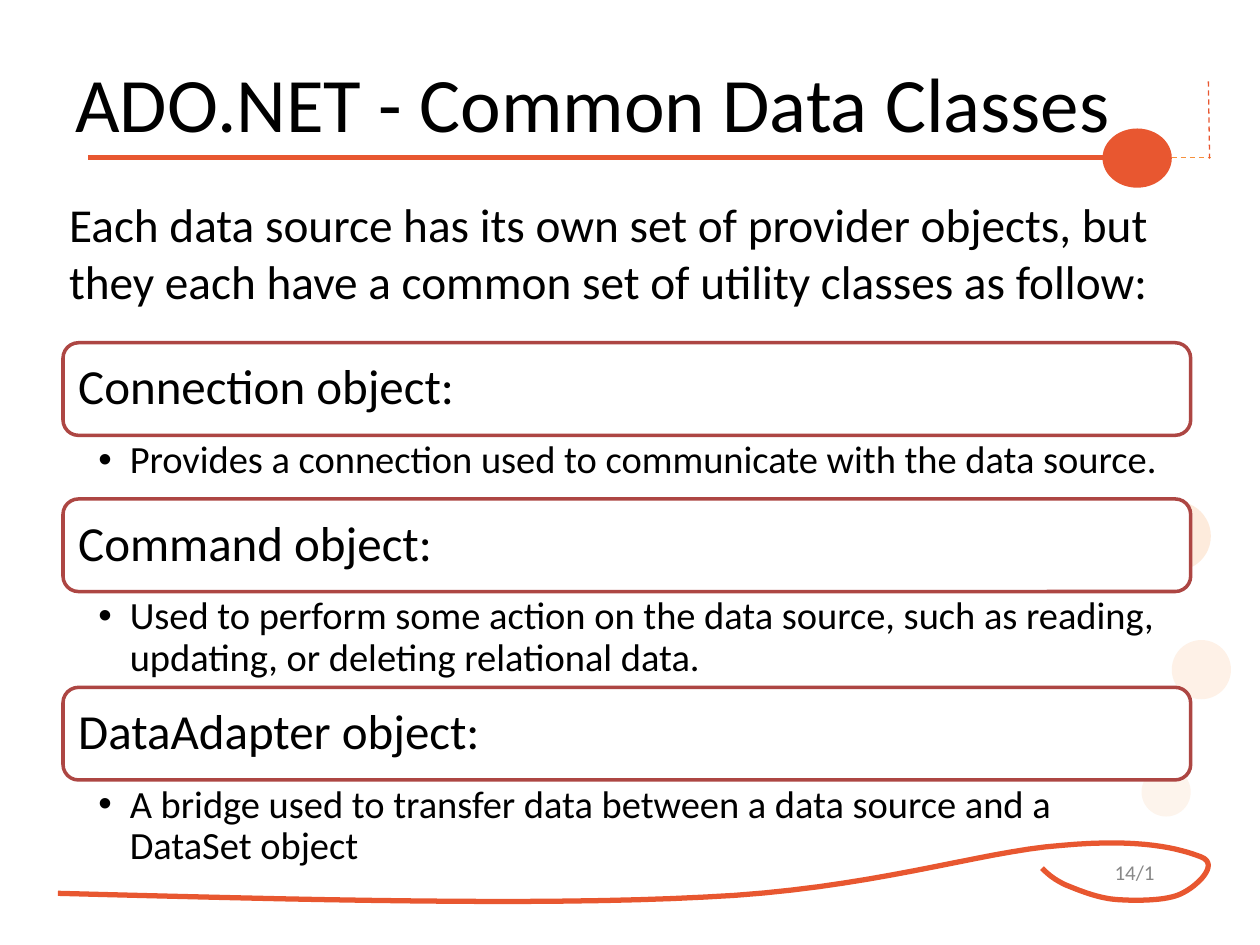
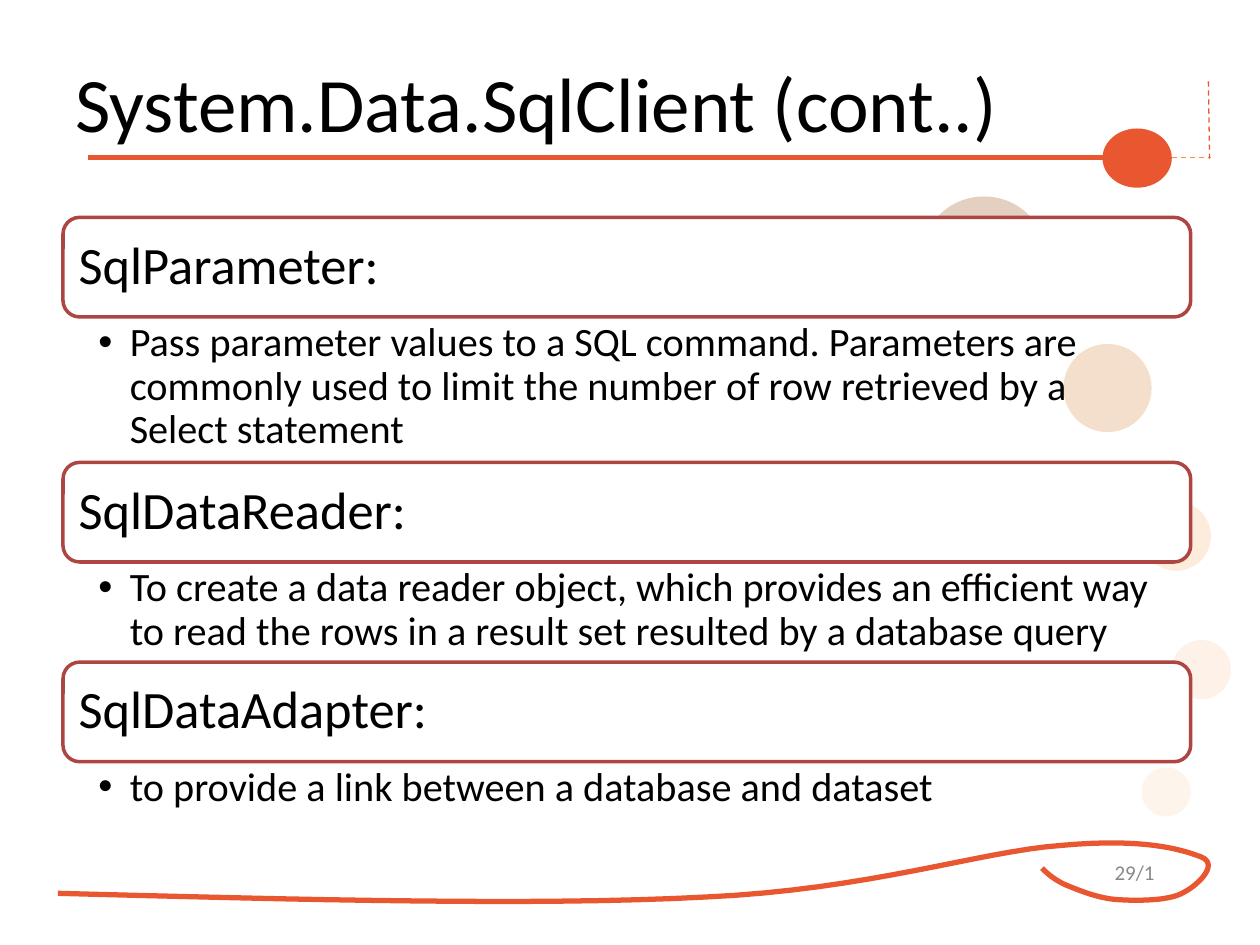
from lxml.etree import SubElement
from pptx import Presentation
from pptx.dml.color import RGBColor as RGB
from pptx.enum.dml import MSO_LINE_DASH_STYLE as Dash
from pptx.enum.shapes import MSO_CONNECTOR as Connector, MSO_SHAPE as Shape
from pptx.enum.text import MSO_ANCHOR as Anchor, PP_ALIGN as Align
from pptx.oxml.ns import qn
from pptx.util import Inches, Pt

THEME = {
    "font": "Calibri",
    "ink": RGB.from_string("000000"),
    "paper": RGB.from_string("FFFFFF"),
    "accent": RGB.from_string("E85730"),
    "dash": RGB.from_string("F6903C"),
    "frame": RGB.from_string("AD4643"),
    "muted": RGB.from_string("888888"),
    "title": 44,
    "intro": 27,
    "number": 12,
}

deck = Presentation()
deck.slide_width, deck.slide_height = Inches(10), Inches(7.5)
CELL = deck.slide_width / 100  # the slide is a grid of 100 columns by 75 rows


def cells(*counts):
    return [round(count * CELL) for count in counts]


def write(shape, text, size, color=THEME["ink"], margins=(1, 0.5, 1, 0.5),
          anchor=Anchor.MIDDLE, align=Align.LEFT, spacing=1.0, bullet=False):
    """Fill a shape with one paragraph; margins are left, top, right, bottom."""
    frame = shape.text_frame
    left, top, right, bottom = cells(*margins)
    layout = {"word_wrap": True, "vertical_anchor": anchor,
              "margin_left": left, "margin_top": top,
              "margin_right": right, "margin_bottom": bottom}
    for name, value in layout.items():
        setattr(frame, name, value)
    paragraph = frame.paragraphs[0]
    if bullet:
        properties = paragraph._p.get_or_add_pPr()
        hang = cells(2.5)[0]
        properties.set("marL", str(hang))
        properties.set("indent", str(-hang))
        SubElement(properties, qn("a:buFont"), typeface="Arial")
        SubElement(properties, qn("a:buChar"), char="•")
    paragraph.alignment, paragraph.line_spacing = align, spacing
    run = paragraph.add_run()
    run.text = text
    run.font.color.rgb = color
    for name, value in {"name": THEME["font"], "size": Pt(size)}.items():
        setattr(run.font, name, value)


# left, top, width, height, colour, opacity in percent
BUBBLES = [
    (73.4, 15.6, 9.4, 8.6, "904406", 25),
    (84.4, 27.3, 7, 7, "C85F08", 20),
    (90.6, 39.8, 5.5, 5.5, "F57B17", 15),
    (93, 50.8, 4.7, 4.7, "F67B16", 10),
    (90.6, 60.9, 3.9, 3.9, "F59545", 10),
    (87.5, 10.2, 5.5, 4.7, "E85730", 100),
]

# start and end, colour, width in points, dash
RULES = [
    ((7, 12.5, 87.5, 12.5), THEME["accent"], 3, Dash.SOLID),
    ((93, 12.5, 96.1, 12.5), THEME["dash"], 0.75, Dash.DASH),
    ((96, 12.6, 95.9, 6.2), THEME["accent"], 0.75, Dash.DASH),
]

# the ribbon is a chain of cubic curves: two handles and an end for each
RIBBON_START = (4.6, 70.9)
RIBBON = [
    ((23.6, 71.4), (42.6, 71.9), (55.9, 71.2)),
    ((69.1, 70.6), (77.6, 67.6), (84.2, 67.1)),
    ((90.8, 66.5), (93.7, 67.4), (95.3, 68)),
    ((96.9, 68.6), (94.9, 70.4), (93.8, 70.9)),
    ((92.7, 71.5), (90.2, 71.5), (88.7, 71.4)),
    ((87.1, 71.3), (85.5, 70.6), (84.5, 70.2)),
    ((83.5, 69.7), (83.1, 69.3), (82.7, 68.9)),
]
STEPS = 16
ribbon_points = [RIBBON_START]
for handle_out, handle_in, end in RIBBON:
    start = ribbon_points[-1]
    for step in range(1, STEPS + 1):
        t = step / STEPS
        weights = ((1 - t) ** 3, 3 * t * (1 - t) ** 2, 3 * t * t * (1 - t), t ** 3)
        corners = (start, handle_out, handle_in, end)
        ribbon_points.append(tuple(
            sum(weight * corner[axis] for weight, corner in zip(weights, corners))
            for axis in (0, 1)))

# each topic: heading, explanation, height of the explanation
SLIDES = [
    {
        "title": "ADO.NET - Common Data Classes",
        "number": "14/1",
        "bubbles": BUBBLES[1:],
        "intro": "Each data source has its own set of provider objects, but they "
                 "each have a common set of utility classes as follow:",
        "top": 27.2, "heading_height": 7.35, "heading_size": 28, "detail_size": 22,
        "topics": [
            ("Connection object:",
             "Provides a connection used to communicate with the data source.", 5.05),
            ("Command object:",
             "Used to perform some action on the data source, such as reading, "
             "updating, or deleting relational data.", 7.6),
            ("DataAdapter object:",
             "A bridge used to transfer data between a data source and a "
             "DataSet object", 7.6),
        ],
    },
    {
        "title": "System.Data.SqlClient (cont..)",
        "number": "29/1",
        "bubbles": BUBBLES,
        "intro": None,
        "top": 17.25, "heading_height": 7.9, "heading_size": 30, "detail_size": 23,
        "topics": [
            ("SqlParameter:",
             "Pass parameter values to a SQL command. Parameters are commonly used "
             "to limit the number of row retrieved by a Select statement", 11.55),
            ("SqlDataReader:",
             "To create a data reader object, which provides an efficient way to "
             "read the rows in a result set resulted by a database query", 7.95),
            ("SqlDataAdapter:",
             "to provide a link between a database and dataset", 5.4),
        ],
    },
]
TOPIC_LEFT, TOPIC_WIDTH = 5, 89.5

for content in SLIDES:
    slide = deck.slides.add_slide(deck.slide_layouts[6])
    shapes = slide.shapes
    slide.background.fill.solid()
    slide.background.fill.fore_color.rgb = THEME["paper"]

    number = shapes.add_textbox(*cells(86.7, 67.2, 6.7, 4))
    write(number, content["number"], THEME["number"], THEME["muted"],
          align=Align.CENTER)

    builder = shapes.build_freeform(*cells(*RIBBON_START))
    builder.add_line_segments([cells(*point) for point in ribbon_points[1:]],
                              close=False)
    ribbon = builder.convert_to_shape()
    ribbon.shadow.inherit = False
    ribbon.fill.background()
    ribbon.line.color.rgb, ribbon.line.width = THEME["accent"], Pt(3)

    for ends, color, width, dash in RULES:
        rule = shapes.add_connector(Connector.STRAIGHT, *cells(*ends))
        rule.line.color.rgb = color
        rule.line.width, rule.line.dash_style = Pt(width), dash
        SubElement(rule._element.spPr, qn("a:effectLst"))

    for *place, color, opacity in content["bubbles"]:
        bubble = shapes.add_shape(Shape.OVAL, *cells(*place))
        bubble.shadow.inherit = False
        bubble.line.fill.background()
        bubble.fill.solid()
        bubble.fill.fore_color.rgb = RGB.from_string(color)
        if opacity < 100:
            tint = bubble._element.spPr.find(".//" + qn("a:srgbClr"))
            SubElement(tint, qn("a:alpha"), val=str(opacity * 1000))

    title = shapes.add_textbox(*cells(5, 2, 90.8, 12.1))
    write(title, content["title"], THEME["title"])

    top = content["top"]
    for topic, explanation, detail_height in content["topics"]:
        heading = shapes.add_shape(
            Shape.ROUNDED_RECTANGLE,
            *cells(TOPIC_LEFT, top, TOPIC_WIDTH, content["heading_height"]))
        heading.shadow.inherit = False
        heading.fill.solid()
        heading.fill.fore_color.rgb = THEME["paper"]
        heading.line.color.rgb, heading.line.width = THEME["frame"], Pt(2)
        write(heading, topic, content["heading_size"],
              margins=(0.85, 0.85, 0.85, 0.85), spacing=0.9)
        top += content["heading_height"]

        detail = shapes.add_textbox(
            *cells(TOPIC_LEFT, top, TOPIC_WIDTH, detail_height))
        write(detail, explanation, content["detail_size"],
              margins=(2.8, 0.4, 2.2, 0.4), anchor=Anchor.TOP,
              spacing=0.9, bullet=True)
        top += detail_height

    if content["intro"]:
        intro = shapes.add_shape(Shape.RECTANGLE, *cells(4.5, 15, 89.2, 10.1))
        intro.shadow.inherit = False
        intro.fill.solid()
        intro.fill.fore_color.rgb = THEME["paper"]
        intro.line.fill.background()
        write(intro, content["intro"], THEME["intro"], anchor=Anchor.TOP)

deck.save("out.pptx")
